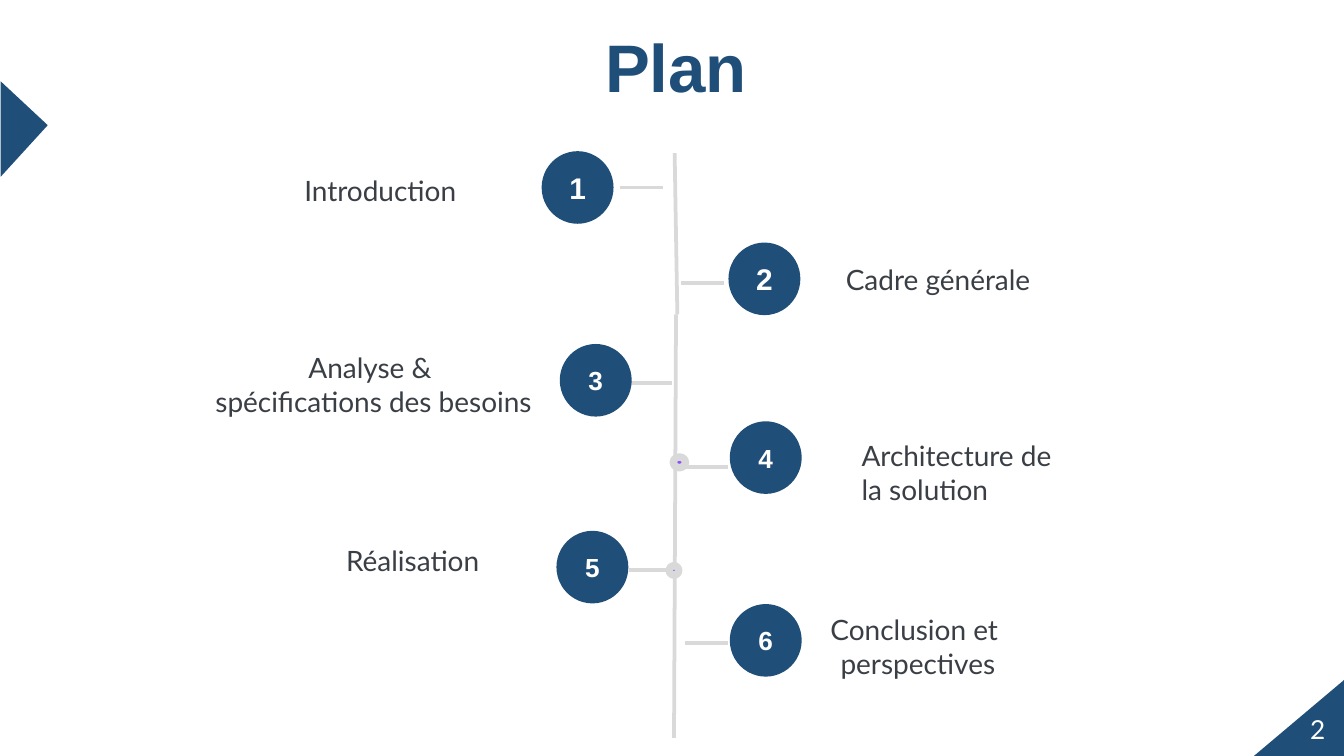
from lxml.etree import SubElement
from pptx import Presentation
from pptx.dml.color import RGBColor
from pptx.enum.shapes import MSO_CONNECTOR, MSO_SHAPE
from pptx.enum.text import MSO_ANCHOR, PP_ALIGN
from pptx.oxml.ns import qn
from pptx.util import Inches, Pt

COLORS = {name: RGBColor.from_string(value) for name, value in {
    "navy": "1F4E79", "grey": "D9D9D9", "text": "3A3E45",
    "violet": "8C50FF", "white": "FFFFFF"}.items()}

prs = Presentation()
prs.slide_width = Inches(10)
prs.slide_height = prs.slide_width * 9 // 16
slide = prs.slides.add_slide(prs.slide_layouts[5])
CELL = prs.slide_width / 100  # square grid, 100 columns wide


def grid(*cells):
    return [round(c * CELL) for c in cells]


def write(sp, lines, size, font, color, align, bold=False, inset=(0.7, 0.4)):
    """Fill a shape with equally formatted paragraphs."""
    tf = sp.text_frame
    tf.word_wrap = True
    tf.margin_left = tf.margin_right = grid(inset[0])[0]
    tf.margin_top = tf.margin_bottom = grid(inset[1])[0]
    tf.text = "\n".join(lines)
    for p in tf.paragraphs:
        p.alignment = align
        p.font.size, p.font.name, p.font.bold = Pt(size), font, bold
        p.font.color.rgb = COLORS[color]
    return tf


# Title
title = slide.shapes.title
title.left, title.top, title.width, title.height = grid(44.2, 1.45, 12.2, 6.8)
tf = write(title, ["Plan"], 36, "Arial", "navy", PP_ALIGN.CENTER, bold=True)
tf.word_wrap = False
tf.vertical_anchor = MSO_ANCHOR.TOP

# Spine in two segments, then one branch per step
lines = [(50.2, 11.4, 50.4, 23.4), (50.3, 23.4, 50.15, 54.9)]
branches = [(46.1, 13.95), (50.7, 21.05), (46.8, 28.5),
            (51, 34.75), (46.8, 42.4), (51, 47.85)]
lines += [(x, y, x + 3.2, y) for x, y in branches]
for line in lines:
    cn = slide.shapes.add_connector(MSO_CONNECTOR.STRAIGHT, *grid(*line))
    cn.line.color.rgb, cn.line.width = COLORS["grey"], Pt(2)
    SubElement(cn._element.spPr, qn("a:effectLst"))

# Dots on the spine
for dot in [(50.1, 34, 0.9, 0.8), (49.8, 42.1, 0.7, 0.7)]:
    sp = slide.shapes.add_shape(MSO_SHAPE.OVAL, *grid(*dot))
    sp.shadow.inherit = False
    sp.fill.solid()
    sp.fill.fore_color.rgb = COLORS["violet"]
    sp.line.color.rgb, sp.line.width = COLORS["grey"], Pt(4)

# Steps: circle left and top, number size, label box, alignment, label lines
MID, LEFT = PP_ALIGN.CENTER, PP_ALIGN.LEFT
steps = [
    (40.3, 11.25, 16, (16.5, 12.5, 23.6, 3.3), MID, ["Introduction"]),
    (54.2, 18.05, 16, (56.2, 19.1, 27.2, 3.3), MID, ["Cadre générale"]),
    (41.65, 25.6, 14, (14.7, 25.7, 26.2, 5.8), MID,
     ["Analyse & ", "spécifications des besoins"]),
    (54.3, 31.35, 14, (63.4, 32.25, 17.1, 5.8), LEFT,
     ["Architecture de la solution"]),
    (41.4, 39.5, 14, (25.05, 40.05, 13, 3.3), LEFT, ["Réalisation"]),
    (54.3, 44.95, 14, (56.5, 45.2, 23.6, 5.8), MID,
     ["Conclusion et ", "perspectives"]),
]
for number, (x, y, size, box, align, label) in enumerate(steps, 1):
    sp = slide.shapes.add_shape(MSO_SHAPE.OVAL, *grid(x, y, 5.35, 5.4))
    sp.shadow.inherit = False
    sp.fill.solid()
    sp.fill.fore_color.rgb = COLORS["navy"]
    sp.line.fill.background()
    tf = write(sp, [str(number)], size, "Arial", "white", MID, True, (0, 0))
    tf.vertical_anchor = MSO_ANCHOR.MIDDLE
    tb = slide.shapes.add_textbox(*grid(*box))
    write(tb, label, 15, "Lato", "text", align)

# Edge arrow and page corner
for kind, box, turn in [
    (MSO_SHAPE.ISOSCELES_TRIANGLE, (-1.75, 7.85, 7.1, 3.5), 90),
    (MSO_SHAPE.RIGHT_TRIANGLE, (93.85, 49.8, 5.9, 7), 270),
]:
    sp = slide.shapes.add_shape(kind, *grid(*box))
    sp.shadow.inherit = False
    sp.rotation = turn
    sp.fill.solid()
    sp.fill.fore_color.rgb = COLORS["navy"]
    sp.line.fill.background()
    if kind == MSO_SHAPE.ISOSCELES_TRIANGLE:
        sp.adjustments[0] = 0.46

page = slide.shapes.add_textbox(*grid(94.6, 52.6, 5, 5.1))
write(page, ["2"], 14, "Lato", "white", PP_ALIGN.RIGHT, inset=(1, 0.5))

prs.save("out.pptx")
